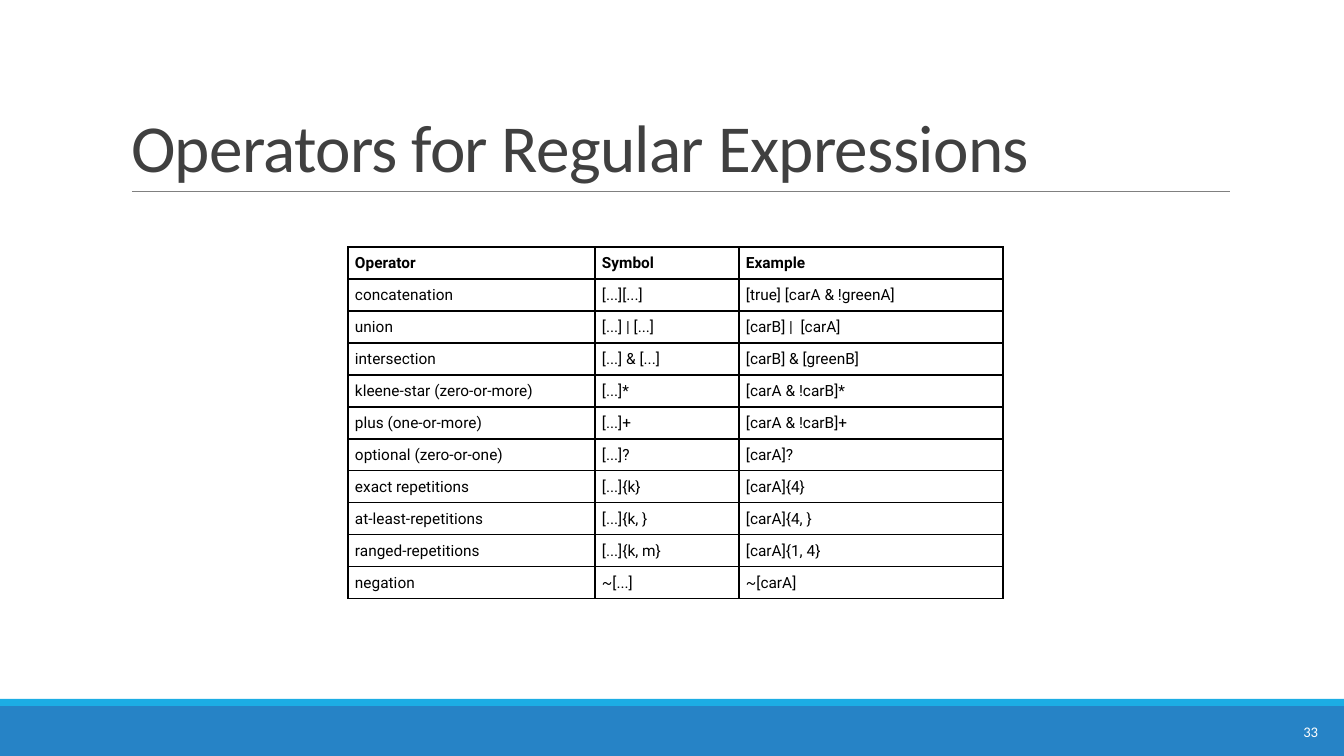
from dataclasses import dataclass

from lxml.etree import SubElement
from pptx import Presentation
from pptx.dml.color import RGBColor
from pptx.enum.shapes import MSO_CONNECTOR, MSO_SHAPE
from pptx.enum.text import MSO_ANCHOR, MSO_AUTO_SIZE, PP_ALIGN
from pptx.oxml import parse_xml
from pptx.oxml.ns import nsdecls, qn
from pptx.util import Pt

# Content
TITLE = "Operators for Regular Expressions"
PAGE_NUMBER = "33"
OPERATORS = [
    ("Operator", "Symbol", "Example"),
    ("concatenation", "[...][...]", "[true] [carA & !greenA]"),
    ("union", "[...] | [...]", "[carB] |  [carA]"),
    ("intersection", "[...] & [...]", "[carB] & [greenB]"),
    ("kleene-star (zero-or-more)", "[...]*", "[carA & !carB]*"),
    ("plus (one-or-more)", "[...]+", "[carA & !carB]+"),
    ("optional (zero-or-one)", "[...]?", "[carA]?"),
    ("exact repetitions", "[...]{k}", "[carA]{4}"),
    ("at-least-repetitions", "[...]{k, }", "[carA]{4, }"),
    ("ranged-repetitions", "[...]{k, m}", "[carA]{1, 4}"),
    ("negation", "~[...]", "~[carA]"),
]


@dataclass(frozen=True)
class Theme:
    title_font: str = "Calibri"
    table_font: str = "Roboto"
    title_size: float = 48
    table_size: float = 11
    number_size: float = 10.5
    title_color: str = "404040"
    table_color: str = "000000"
    number_color: str = "FFFFFF"
    rule_color: str = "808080"
    band_color: str = "2683C6"
    stripe_color: str = "1CADE4"


THEME = Theme()

# Layout in px
SLIDE_WIDTH, SLIDE_HEIGHT = 1344, 756
BAND_TOP, STRIPE_HEIGHT = 706, 7
RULE_LEFT, RULE_RIGHT, RULE_TOP = 132, 1230, 191
TITLE_BOX = (121, 31, 1109, 160)
NUMBER_BOX = (1184, 712, 144, 40)
TABLE_LEFT, TABLE_TOP = 348, 247
COLUMN_WIDTHS = (247, 144, 264)
ROW_HEIGHT, CELL_MARGIN = 32, 7


def px(length):
    return round(length * 914400 / 100.8)


def style_font(font, name, size, color, bold=False):
    font.name, font.size, font.bold = name, Pt(size), bold
    font.color.rgb = RGBColor.from_string(color)


def add_bar(slide, top, height, color):
    bar = slide.shapes.add_shape(MSO_SHAPE.RECTANGLE, 0, px(top), px(SLIDE_WIDTH), px(height))
    bar.shadow.inherit = False
    bar.fill.solid()
    bar.fill.fore_color.rgb = RGBColor.from_string(color)
    bar.line.fill.background()


def add_rule(slide):
    rule = slide.shapes.add_connector(
        MSO_CONNECTOR.STRAIGHT, px(RULE_LEFT), px(RULE_TOP), px(RULE_RIGHT), px(RULE_TOP))
    rule.line.color.rgb = RGBColor.from_string(THEME.rule_color)
    rule.line.width = Pt(0.5)
    SubElement(rule._element.spPr, qn("a:effectLst"))


def add_title(slide):
    title = slide.shapes.title
    title.left, title.top, title.width, title.height = map(px, TITLE_BOX)
    frame = title.text_frame
    frame.text = TITLE
    frame.auto_size = MSO_AUTO_SIZE.NONE
    frame.vertical_anchor = MSO_ANCHOR.BOTTOM
    paragraph = frame.paragraphs[0]
    paragraph.alignment = PP_ALIGN.LEFT
    paragraph.line_spacing = 0.85
    style_font(paragraph.font, THEME.title_font, THEME.title_size, THEME.title_color)
    paragraph.runs[0].font._element.set("spc", "-50")


def add_borders(cell):
    properties = cell._tc.get_or_add_tcPr()
    for position, side in enumerate("LRTB"):
        properties.insert(position, parse_xml(
            f'<a:ln{side} {nsdecls("a")} w="{Pt(1)}"><a:solidFill>'
            f'<a:srgbClr val="{THEME.table_color}"/></a:solidFill></a:ln{side}>'))


def add_operator_table(slide):
    table = slide.shapes.add_table(
        len(OPERATORS), len(COLUMN_WIDTHS), px(TABLE_LEFT), px(TABLE_TOP),
        px(sum(COLUMN_WIDTHS)), px(ROW_HEIGHT * len(OPERATORS))).table
    table.first_row = table.horz_banding = False
    for column, width in zip(table.columns, COLUMN_WIDTHS):
        column.width = px(width)
    for row_index, (row, texts) in enumerate(zip(table.rows, OPERATORS)):
        row.height = px(ROW_HEIGHT)
        for cell, text in zip(row.cells, texts):
            cell.text = text
            cell.margin_left = cell.margin_right = px(CELL_MARGIN)
            cell.margin_top = cell.margin_bottom = px(CELL_MARGIN)
            cell.fill.background()
            add_borders(cell)
            style_font(cell.text_frame.paragraphs[0].font, THEME.table_font,
                       THEME.table_size, THEME.table_color, bold=row_index == 0)


def add_page_number(slide):
    frame = slide.shapes.add_textbox(*map(px, NUMBER_BOX)).text_frame
    frame.word_wrap = True
    frame.vertical_anchor = MSO_ANCHOR.MIDDLE
    frame.text = PAGE_NUMBER
    paragraph = frame.paragraphs[0]
    paragraph.alignment = PP_ALIGN.RIGHT
    style_font(paragraph.font, THEME.title_font, THEME.number_size, THEME.number_color)


def main():
    presentation = Presentation()
    presentation.slide_width, presentation.slide_height = px(SLIDE_WIDTH), px(SLIDE_HEIGHT)
    slide = presentation.slides.add_slide(presentation.slide_layouts.get_by_name("Title Only"))

    # Footer bands and title rule
    add_bar(slide, BAND_TOP, SLIDE_HEIGHT - BAND_TOP, THEME.band_color)
    add_bar(slide, BAND_TOP - STRIPE_HEIGHT, STRIPE_HEIGHT, THEME.stripe_color)
    add_rule(slide)

    # Title, table and page number
    add_title(slide)
    add_operator_table(slide)
    add_page_number(slide)
    presentation.save("out.pptx")


if __name__ == "__main__":
    main()
